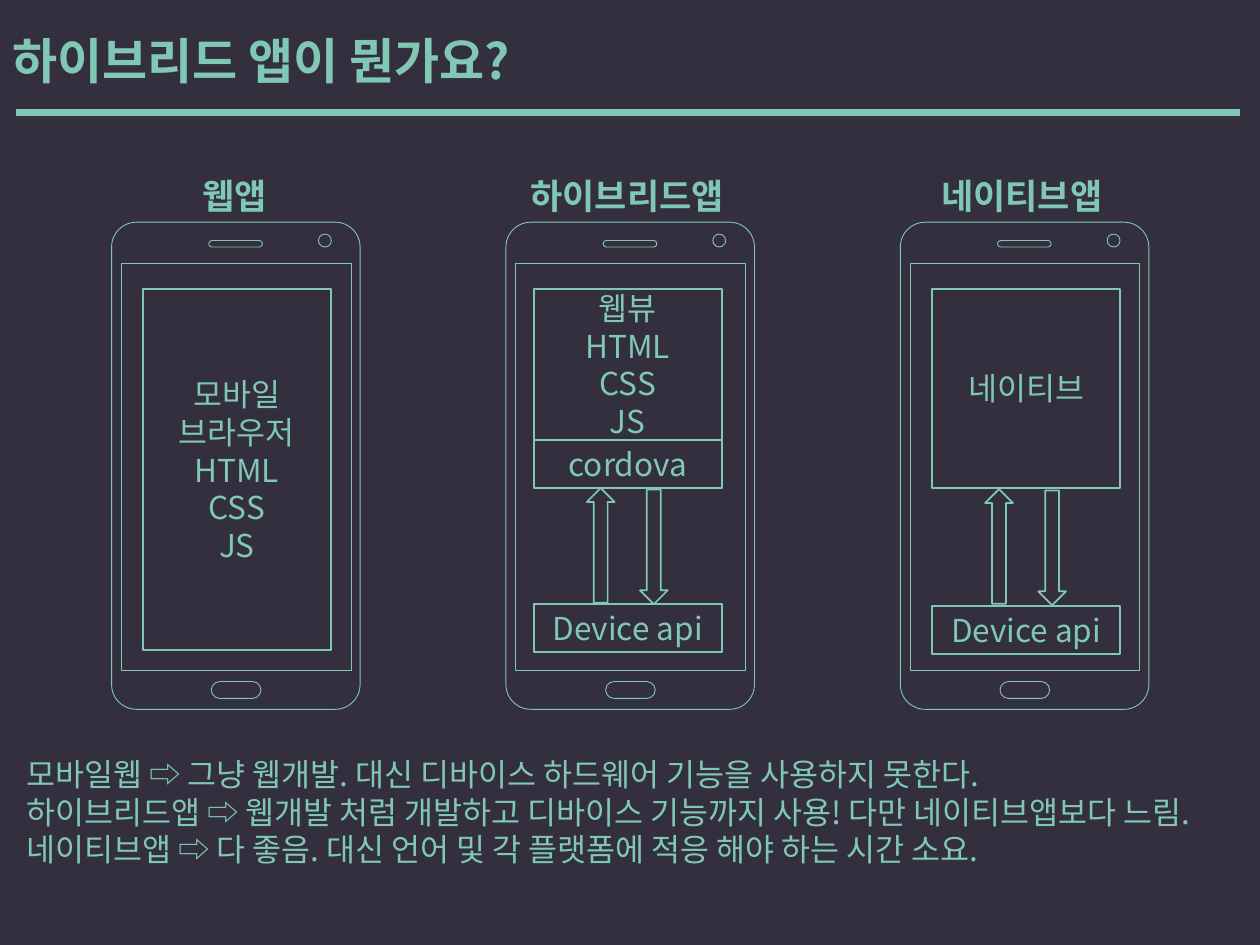
import lxml.etree
import pptx
import pptx.dml.color
import pptx.enum.shapes
import pptx.enum.text
import pptx.oxml.ns
import pptx.util

Cm = pptx.util.Cm
Pt = pptx.util.Pt
SHAPE = pptx.enum.shapes.MSO_SHAPE
ALIGN = pptx.enum.text.PP_ALIGN
ANCHOR = pptx.enum.text.MSO_ANCHOR
AUTO_SIZE = pptx.enum.text.MSO_AUTO_SIZE
qn = pptx.oxml.ns.qn

MINT = pptx.dml.color.RGBColor(0x80, 0xC8, 0xB5)
NIGHT = pptx.dml.color.RGBColor(0x33, 0x2F, 0x3E)
FONT = "Noto Sans CJK KR"

PHONE_LEFT, PHONE_STEP, PHONE_WIDTH = 2.25, 7.95, 5.01
BOX_WIDTH, BOX_TOP, BAR_HEIGHT = 3.79, 5.82, 0.97
LABELS = [("웹앱", 1.85), ("하이브리드앱", 4.52), ("네이티브앱", 3.86)]
PHONE_PARTS = [
    (SHAPE.ROUNDED_RECTANGLE, 0, 4.48, PHONE_WIDTH, 9.82, 0.1),
    (SHAPE.ROUNDED_RECTANGLE, 2.01, 13.74, 1, 0.34, 0.5),
    (SHAPE.OVAL, 4.17, 4.72, 0.26, 0.26, None),
    (SHAPE.ROUNDED_RECTANGLE, 1.96, 4.85, 1.08, 0.13, 0.5),
    (SHAPE.RECTANGLE, 0.2, 5.31, 4.63, 8.21, None),
]
BOXES = [
    ("모바일\n브라우저\nHTML\nCSS\nJS", 2.88, BOX_TOP, 7.29),
    ("웹뷰\nHTML\nCSS\nJS", 10.76, BOX_TOP, 3.05),
    ("cordova", 10.76, 8.87, BAR_HEIGHT),
    ("Device api", 10.76, 12.17, BAR_HEIGHT),
    ("네이티브", 18.79, BOX_TOP, 4.02),
    ("Device api", 18.79, 12.21, BAR_HEIGHT),
]
SUMMARY = [
    "모바일웹 ⇨ 그냥 웹개발. 대신 디바이스 하드웨어 기능을 사용하지 못한다.",
    "하이브리드앱 ⇨ 웹개발 처럼 개발하고 디바이스 기능까지 사용! 다만 네이티브앱보다 느림.",
    "네이티브앱 ⇨ 다 좋음. 대신 언어 및 각 플랫폼에 적응 해야 하는 시간 소요.",
]


def write_text(frame, text, size, bold=False, align=ALIGN.LEFT):
    """Fill a text frame and give every run the slide's type style."""
    frame.text = text
    for para in frame.paragraphs:
        para.alignment = align
        para.space_before = Pt(0)
        for span in para.runs:
            span.font.name = FONT
            span.font.size = Pt(size)
            span.font.bold = bold
            span.font.color.rgb = MINT
            east_asian = lxml.etree.SubElement(span.font._element, qn("a:ea"))
            east_asian.set("typeface", FONT)


def fill_placeholder(holder, top, height, text, size, bold=False):
    """Move a placeholder to a full-width band and write its text."""
    holder.left, holder.top = Cm(0), Cm(top)
    holder.width, holder.height = Cm(25.4), Cm(height)
    frame = holder.text_frame
    frame.auto_size = AUTO_SIZE.SHAPE_TO_FIT_TEXT
    frame.vertical_anchor = ANCHOR.TOP
    write_text(frame, text, size, bold)


def remove_bullets(frame):
    """Turn list paragraphs into plain unindented lines."""
    for para in frame.paragraphs:
        properties = para._p.get_or_add_pPr()
        properties.set("marL", "0")
        properties.set("indent", "0")
        lxml.etree.SubElement(properties, qn("a:buNone"))


def add_outline(shapes, kind, left, top, width, height, weight):
    """Add an unfilled mint outline shape."""
    shape = shapes.add_shape(kind, Cm(left), Cm(top), Cm(width), Cm(height))
    shape.shadow.inherit = False
    shape.fill.background()
    shape.line.color.rgb = MINT
    shape.line.width = Pt(weight)
    return shape


def add_rule(page):
    """Add the thick line below the title."""
    rule = page.shapes.add_connector(
        pptx.enum.shapes.MSO_CONNECTOR.STRAIGHT, Cm(0.33), Cm(2.26), Cm(24.99), Cm(2.26))
    rule.line.color.rgb = MINT
    rule.line.width = Pt(4)
    lxml.etree.SubElement(rule._element.spPr, qn("a:effectLst"))


def add_phone(page, left):
    """Add a grouped phone with its button, camera, speaker and screen."""
    phone = page.shapes.add_group_shape()
    for kind, offset, top, width, height, rounding in PHONE_PARTS:
        part = add_outline(phone.shapes, kind, left + offset, top, width, height, 0.5)
        part.fill.solid()
        part.fill.fore_color.rgb = NIGHT
        if rounding:
            part.adjustments[0] = rounding


def add_label(page, text, center, width):
    """Add a bold app name centred above its phone."""
    box = page.shapes.add_textbox(Cm(center - width / 2), Cm(3.4), Cm(width), Cm(1.12))
    box.text_frame.word_wrap = False
    box.text_frame.auto_size = AUTO_SIZE.SHAPE_TO_FIT_TEXT
    write_text(box.text_frame, text, 20, bold=True)


def add_box(page, text, left, top, height):
    """Add an outlined layer box with centred text."""
    box = add_outline(page.shapes, SHAPE.RECTANGLE, left, top, BOX_WIDTH, height, 1)
    box.text_frame.vertical_anchor = ANCHOR.MIDDLE
    write_text(box.text_frame, text, 18, align=ALIGN.CENTER)


def add_arrow_pair(page, left, top):
    """Add a grouped up arrow and down arrow."""
    pair = page.shapes.add_group_shape()
    add_outline(pair.shapes, SHAPE.UP_ARROW, left, top, 0.56, 2.31, 1)
    down = add_outline(pair.shapes, SHAPE.UP_ARROW, left + 1.07, top + 0.03, 0.56, 2.31, 1)
    down.rotation = 180


def main():
    """Build the slide comparing the three kinds of app."""
    deck = pptx.Presentation()
    deck.slide_width, deck.slide_height = Cm(25.4), Cm(19.05)
    page = deck.slides.add_slide(deck.slide_layouts[1])
    page.background.fill.solid()
    page.background.fill.fore_color.rgb = NIGHT

    fill_placeholder(page.shapes.title, 0.48, 1.45, "하이브리드 앱이 뭔가요?", 28, bold=True)
    summary = page.placeholders[1]
    fill_placeholder(summary, 15.09, 2.57, "\n".join(SUMMARY), 18)
    summary.text_frame.margin_left = Cm(0.53)
    remove_bullets(summary.text_frame)

    add_rule(page)
    for index, (text, width) in enumerate(LABELS):
        left = PHONE_LEFT + index * PHONE_STEP
        add_phone(page, left)
        add_label(page, text, left + PHONE_WIDTH / 2, width)
    for box in BOXES:
        add_box(page, *box)
    add_arrow_pair(page, 11.83, 9.84)
    add_arrow_pair(page, 19.86, 9.86)
    deck.save("out.pptx")


if __name__ == "__main__":
    main()
